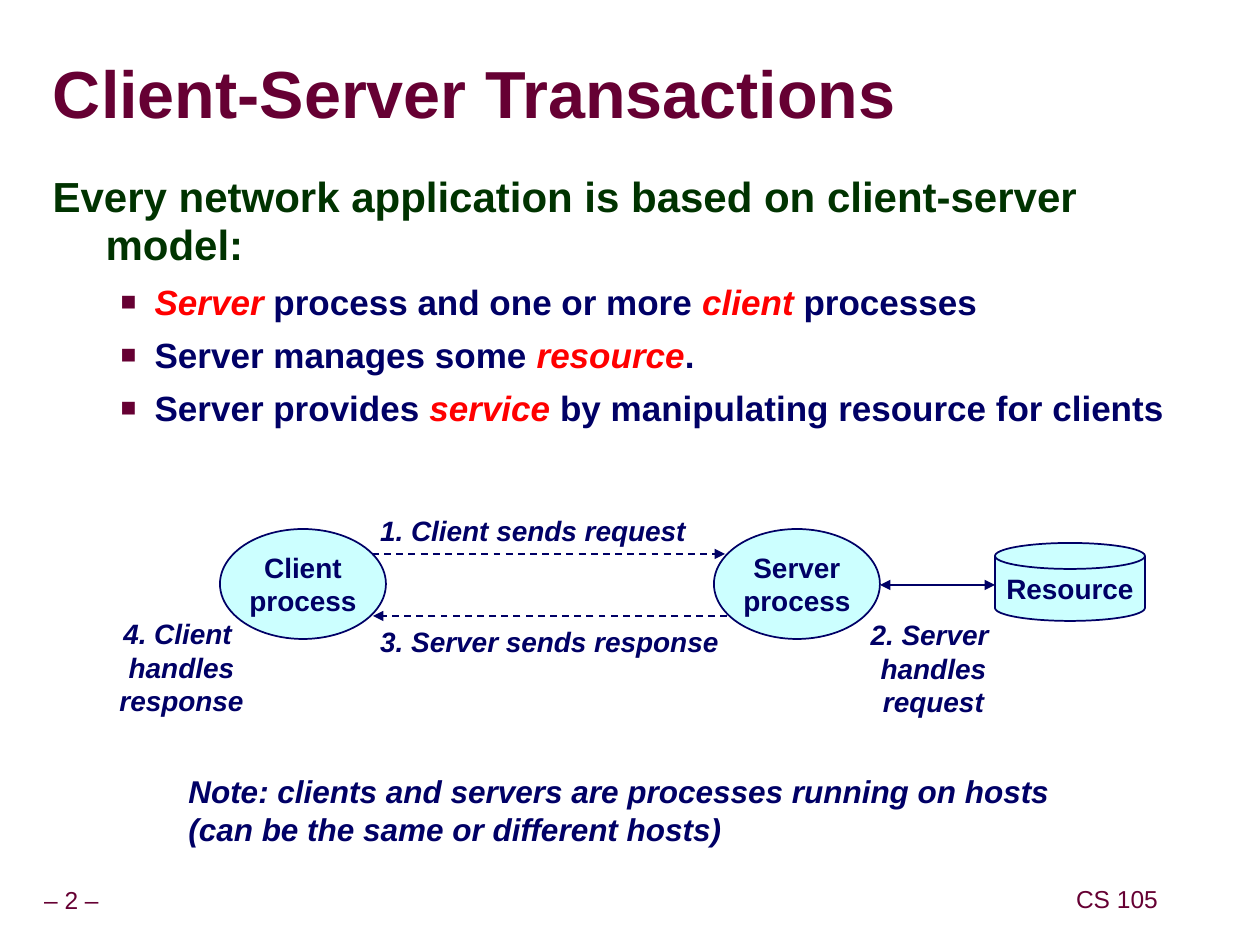
from lxml import etree
from pptx import Presentation
from pptx.dml.color import RGBColor
from pptx.enum.dml import MSO_LINE
from pptx.enum.shapes import MSO_CONNECTOR, MSO_SHAPE
from pptx.enum.text import MSO_ANCHOR, MSO_AUTO_SIZE, PP_ALIGN
from pptx.oxml.ns import qn
from pptx.util import Pt

WINE, NAVY, GREEN, RED, AQUA = "660033", "000066", "003300", "FF0000", "CCFFFF"


def px(n):
    return round(n * 914400 / 126)


def paint(target, color):
    target.rgb = RGBColor.from_string(color)


def style(run, size, color, bold=True, italic=False):
    font = run.font
    font.name, font.size = "Arial", Pt(size)
    font.bold, font.italic = bold, italic
    paint(font.color, color)


def place(shape, box):
    shape.left, shape.top, shape.width, shape.height = map(px, box)


def write(shape, text, size, color=NAVY, bold=True, italic=False,
          align=PP_ALIGN.CENTER, anchor=MSO_ANCHOR.MIDDLE, wrap=False):
    frame = shape.text_frame
    frame.auto_size = MSO_AUTO_SIZE.NONE
    frame.word_wrap, frame.vertical_anchor = wrap, anchor
    frame.text = text
    for para in frame.paragraphs:
        para.alignment = align
        for run in para.runs:
            style(run, size, color, bold, italic)
    return frame


def label(slide, box, text, size=16, **look):
    shape = slide.shapes.add_textbox(*map(px, box))
    return write(shape, text, size, **look)


def node(slide, kind, box, text):
    shape = slide.shapes.add_shape(kind, *map(px, box))
    shape.shadow.inherit = False
    shape.fill.solid()
    paint(shape.fill.fore_color, AQUA)
    paint(shape.line.color, NAVY)
    shape.line.width = Pt(1)
    write(shape, text, 16)


def arrow(slide, start, end, y, dash=True, both=False):
    line = slide.shapes.add_connector(
        MSO_CONNECTOR.STRAIGHT, px(start), px(y), px(end), px(y))
    paint(line.line.color, NAVY)
    line.line.width = Pt(1)
    if dash:
        line.line.dash_style = MSO_LINE.DASH
    ln = line.line._get_or_add_ln()
    for tag in ["a:headEnd", "a:tailEnd"] if both else ["a:tailEnd"]:
        etree.SubElement(ln, qn(tag), type="triangle")
    etree.SubElement(line._element.spPr, qn("a:effectLst"))


def indent(para, left, hang):
    props = para._p.get_or_add_pPr()
    props.set("marL", str(px(left)))
    props.set("indent", str(px(-hang)))
    return props


def bullet(frame, text):
    """Add a bulleted line; parts between asterisks are red and italic."""
    para = frame.add_paragraph()
    para.level, para.space_before, para.line_spacing = 1, Pt(6.2), 1.0
    for i, part in enumerate(text.split("*")):
        if part:
            run = para.add_run()
            run.text = part
            style(run, 20, RED if i % 2 else NAVY, italic=bool(i % 2))
    props = indent(para, 102, 34)
    color = etree.SubElement(props, qn("a:buClr"))
    etree.SubElement(color, qn("a:srgbClr"), val=WINE)
    etree.SubElement(props, qn("a:buSzPct"), val="75000")
    etree.SubElement(props, qn("a:buFont"), typeface="Arial")
    etree.SubElement(props, qn("a:buChar"), char="■")


def heading(slide, text):
    title = slide.shapes.title
    place(title, (53, 58, 987, 79))
    frame = write(title, text, 38, WINE, align=PP_ALIGN.LEFT, wrap=True)
    frame.margin_left = frame.margin_right = 0
    frame.margin_top = frame.margin_bottom = 0
    frame.paragraphs[0].line_spacing = 0.87


def points(slide, lead, items):
    body = slide.placeholders[1]
    place(body, (40, 168, 1145, 284))
    frame = write(body, lead, 24, GREEN, align=PP_ALIGN.LEFT,
                  anchor=MSO_ANCHOR.TOP, wrap=True)
    para = frame.paragraphs[0]
    para.line_spacing, para.space_before = 0.95, Pt(15)
    etree.SubElement(indent(para, 53, 53), qn("a:buNone"))
    for item in items:
        bullet(frame, item)


def main():
    deck = Presentation()
    deck.slide_width, deck.slide_height = px(1260), px(945)
    slide = deck.slides.add_slide(deck.slide_layouts[1])

    # Title and list
    heading(slide, "Client-Server Transactions")
    points(slide, "Every network application is based on client-server model:", [
        "*Server* process and one or more *client *processes",
        "Server manages some *resource*.",
        "Server provides *service* by manipulating resource for clients",
    ])

    # Processes and resource
    node(slide, MSO_SHAPE.OVAL, (220, 529, 166, 110), "Client\nprocess")
    arrow(slide, 372, 725, 554)
    node(slide, MSO_SHAPE.OVAL, (714, 529, 166, 110), "Server\nprocess")
    arrow(slide, 727, 373, 616)
    arrow(slide, 880, 995, 585, dash=False, both=True)
    node(slide, MSO_SHAPE.FLOWCHART_MAGNETIC_DISK, (995, 543, 150, 78), "Resource")

    # Steps
    for box, text in [
        ((368, 507, 330, 47), "1. Client sends request"),
        ((858, 611, 151, 114), "2. Server \nhandles\nrequest"),
        ((368, 618, 363, 47), "3. Server sends response"),
        ((107, 610, 149, 114), "4. Client \nhandles\nresponse"),
    ]:
        label(slide, box, text, italic=True)

    # Note
    label(slide, (176, 766, 895, 88),
          "Note: clients and servers are processes running on hosts\n"
          "(can be the same or different hosts)",
          18, italic=True, align=PP_ALIGN.LEFT, anchor=MSO_ANCHOR.TOP)

    # Footer
    for box, text in [((-11, 882, 165, 39), "– 2 –"), ((1070, 881, 94, 39), "CS 105")]:
        frame = label(slide, box, text, 14, color=WINE, bold=False)
        frame.paragraphs[0].line_spacing = 0.9

    deck.save("out.pptx")


if __name__ == "__main__":
    main()
